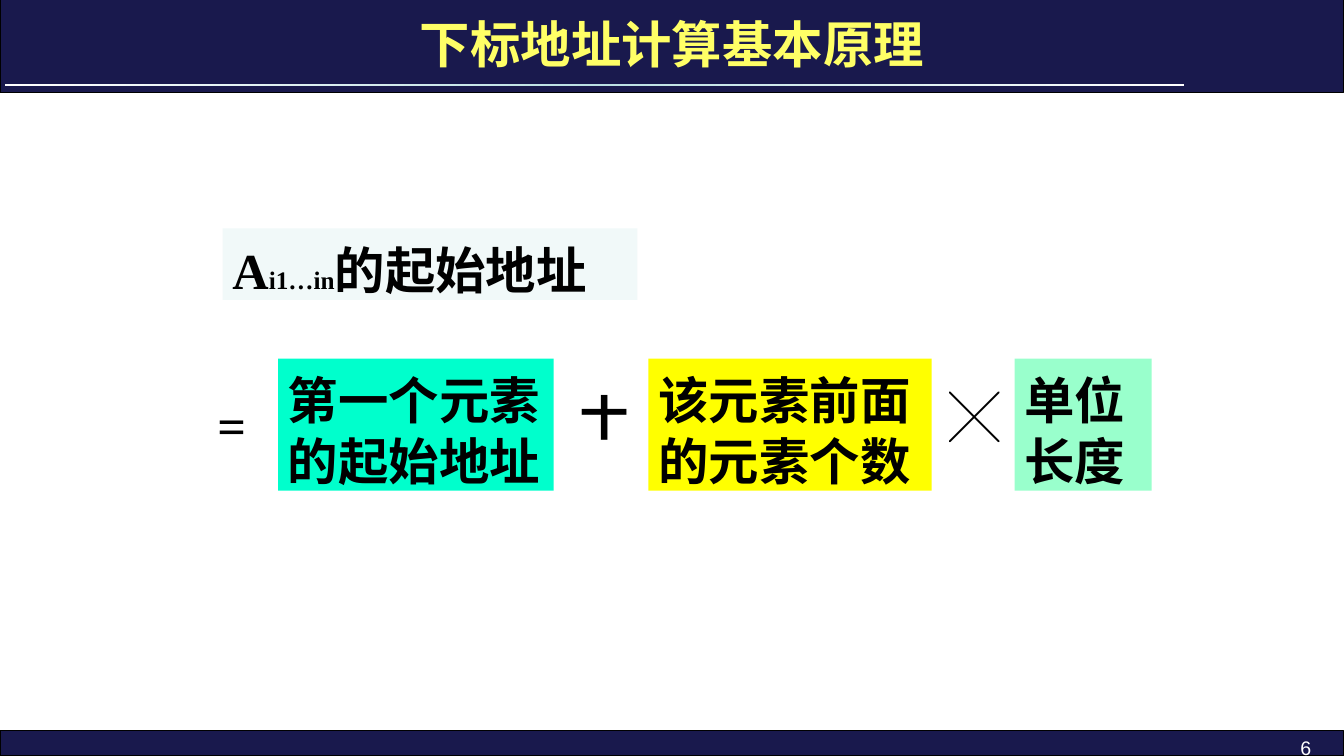
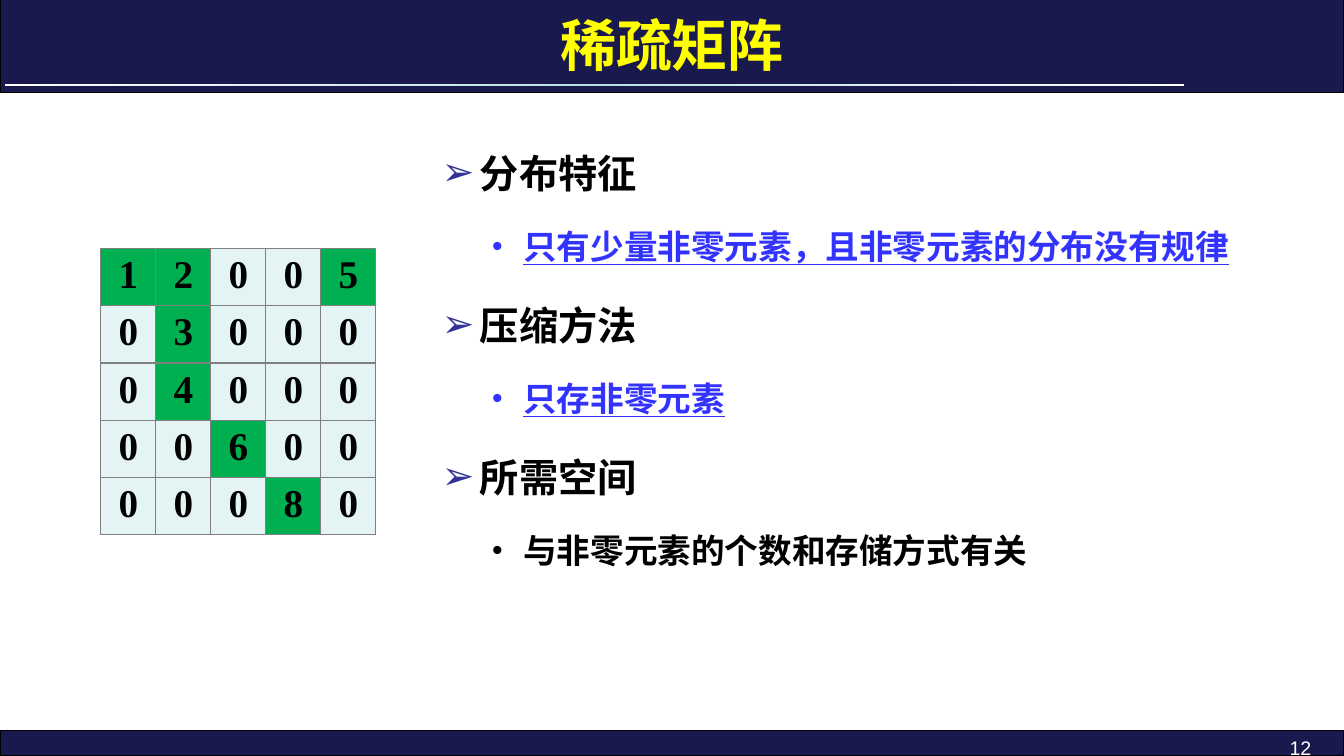
from typing import NamedTuple

from lxml import etree
from pptx import Presentation, util as u
from pptx.dml.color import RGBColor
from pptx.enum import shapes, text
from pptx.oxml import parse_xml
from pptx.oxml.ns import nsdecls, qn

# The slide is a grid of 160 columns by 90 rows.
COLS, ROWS = 160, 90
UNIT = u.Inches(7.5) / ROWS

COLORS = {
    "band": "19194D", "black": "000000", "white": "FFFFFF", "rule": "BBE0E3",
    "title": "FFFF66", "title_strong": "FFFF00", "result": "F1F9F9",
    "base": "00FFCC", "count": "FFFF00", "size": "99FFCC",
    "zero": "E4F3F4", "nonzero": "00B050", "border": "808080",
    "bullet": "333399", "accent": "3333FF",
}
SERIF, SANS, CJK = "Times New Roman", "Arial", "Noto Sans CJK SC"


class Box(NamedTuple):
    """Left, top, width and height in grid units."""
    x: float
    y: float
    w: float
    h: float


class Term(NamedTuple):
    words: str
    box: Box
    fill: str


class Operator(NamedTuple):
    sign: str
    box: Box
    font: str


class Item(NamedTuple):
    words: str
    level: int
    color: str = "black"
    underline: bool = False


class Level(NamedTuple):
    size: float
    line: float
    before: float
    margin: float
    hang: float
    bullet: str


TERMS = [
    Term("第一个元素的起始地址", Box(33.1, 42.7, 32.8, 15.7), "base"),
    Term("该元素前面的元素个数", Box(77.2, 42.7, 33.7, 15.7), "count"),
    Term("单位长度", Box(120.8, 42.7, 16.3, 15.7), "size"),
]
OPERATORS = [
    Operator("=", Box(24.7, 46.3, 6.5, 8.5), SERIF),
    Operator("〸", Box(67.8, 45.4, 8.5, 8.5), CJK),
    Operator("╳", Box(111.8, 45.4, 8.5, 8.5), CJK),
]
LEVELS = [
    Level(28, 50, 8.4, 0.38, 0.38,
          '<a:buClr {ns}><a:srgbClr val="%s"/></a:buClr>|'
          '<a:buFont {ns} typeface="Arial"/>|<a:buChar {ns} char="➢"/>' % COLORS["bullet"]),
    Level(24, 43, 7.2, 0.81, 0.31,
          '<a:buSzPct {ns} val="90000"/>|'
          '<a:buFont {ns} typeface="Arial"/>|<a:buChar {ns} char="•"/>'),
]
ITEMS = [
    Item("分布特征", 0),
    Item("只有少量非零元素，且非零元素的分布没有规律", 1, "accent", True),
    Item("压缩方法", 0),
    Item("只存非零元素", 1, "accent", True),
    Item("所需空间", 0),
    Item("与非零元素的个数和存储方式有关", 1),
]
MATRIX = ["12005", "03000", "04000", "00600", "00080"]


def rgb(name: str) -> RGBColor:
    return RGBColor.from_string(COLORS[name])


def place(box: Box) -> list[int]:
    return [u.Emu(round(v * UNIT)) for v in box]


def add_run(p, words: str, *, size: float, font: str = SERIF, color: str = "black",
            bold: bool = True, underline: bool = False) -> None:
    r = p.add_run()
    r.text = words
    f = r.font
    f.size, f.bold, f.name = u.Pt(size), bold, font
    f.color.rgb = rgb(color)
    if underline:
        f.underline = True
    etree.SubElement(r.font._element, qn("a:ea"), typeface=CJK)


def add_rect(slide, box: Box, fill: str, line: str | None = None):
    sp = slide.shapes.add_shape(shapes.MSO_SHAPE.RECTANGLE, *place(box))
    sp.shadow.inherit = False
    sp.fill.solid()
    sp.fill.fore_color.rgb = rgb(fill)
    if line:
        sp.line.color.rgb = rgb(line)
        sp.line.width = u.Pt(0.75)
    else:
        sp.line.fill.background()
    return sp


def add_panel(slide, box: Box, fill: str):
    """Draw a filled box and return its first, left-aligned paragraph."""
    tf = add_rect(slide, box, fill).text_frame
    tf.word_wrap = True
    tf.vertical_anchor = text.MSO_ANCHOR.TOP
    tf.margin_top = u.Inches(0.11)
    p = tf.paragraphs[0]
    p.alignment = text.PP_ALIGN.LEFT
    p.line_spacing = u.Pt(43)
    return p


def add_text_frame(slide, box: Box, wrap: bool = True):
    tf = slide.shapes.add_textbox(*place(box)).text_frame
    tf.word_wrap = wrap
    return tf


def build_layout(prs, slide):
    """Draw the bands and the rule once and move them into the shared layout."""
    layout = slide.slide_layout
    for ph in list(layout.placeholders):
        if ph.placeholder_format.type != shapes.PP_PLACEHOLDER.TITLE:
            layout.shapes.element.remove(ph.element)
    bands = [add_rect(slide, box, "band", "black")
             for box in (Box(0, 87, COLS, 3), Box(0, 0, COLS, 11))]
    rule = add_rect(slide, Box(0.6, 10, 140.4, 0.24), "white")
    rule.fill.gradient()
    rule.fill.gradient_angle = 0
    stops = rule.element.spPr.find(".//" + qn("a:gsLst"))
    for stop in list(stops):
        stops.remove(stop)
    for pos, name in ((0, "white"), (50, "rule"), (100, "white")):
        stops.append(parse_xml(f'<a:gs {nsdecls("a")} pos="{pos * 1000}">'
                               f'<a:srgbClr val="{COLORS[name]}"/></a:gs>'))
    for sp in (*bands, rule):
        layout.shapes.element.append(sp.element)


def set_title(slide, words: str, box: Box, **fmt) -> None:
    sp = slide.shapes.title
    sp.left, sp.top, sp.width, sp.height = place(box)
    tf = sp.text_frame
    tf.auto_size = text.MSO_AUTO_SIZE.NONE
    tf.vertical_anchor = text.MSO_ANCHOR.MIDDLE
    p = tf.paragraphs[0]
    p.alignment = text.PP_ALIGN.CENTER
    add_run(p, words, **fmt)


def add_page_number(slide, number: int) -> None:
    p = add_text_frame(slide, Box(133.3, 87, 24, 3)).paragraphs[0]
    p.alignment = text.PP_ALIGN.RIGHT
    add_run(p, str(number), size=14, font=SANS, color="white", bold=False)


def add_outline(slide, box: Box) -> None:
    tf = add_text_frame(slide, box)
    for i, item in enumerate(ITEMS):
        level = LEVELS[item.level]
        p = tf.add_paragraph() if i else tf.paragraphs[0]
        p.level = item.level
        pPr = p._p.get_or_add_pPr()
        pPr.set("marL", str(u.Inches(level.margin)))
        pPr.set("indent", str(-u.Inches(level.hang)))
        for tag in level.bullet.split("|"):
            pPr.append(parse_xml(tag.format(ns=nsdecls("a"))))
        p.line_spacing = u.Pt(level.line)
        if i:
            p.space_before = u.Pt(level.before)
        add_run(p, item.words, size=level.size, font=CJK, color=item.color,
                underline=item.underline)


def set_borders(cell) -> None:
    tcPr = cell._tc.get_or_add_tcPr()
    for i, side in enumerate(("lnL", "lnR", "lnT", "lnB")):
        tcPr.insert(i, parse_xml(
            f'<a:{side} {nsdecls("a")} w="{u.Pt(1)}"><a:solidFill>'
            f'<a:srgbClr val="{COLORS["border"]}"/></a:solidFill></a:{side}>'))


def add_matrix(slide, x: float, y: float, col: float, row: float) -> None:
    n = len(MATRIX)
    table = slide.shapes.add_table(n, n, *place(Box(x, y, n * col, n * row))).table
    table.first_row = table.horz_banding = False
    for i, values in enumerate(MATRIX):
        for j, value in enumerate(values):
            cell = table.cell(i, j)
            cell.fill.solid()
            cell.fill.fore_color.rgb = rgb("zero" if value == "0" else "nonzero")
            set_borders(cell)
            p = cell.text_frame.paragraphs[0]
            p.alignment = text.PP_ALIGN.CENTER
            add_run(p, value, size=28)


def build_address_slide(slide) -> None:
    set_title(slide, "下标地址计算基本原理", Box(0, 1, COLS, 8.4),
              size=36, font="Cambria", color="title")
    p = add_panel(slide, Box(26.5, 27.2, 49.4, 8.5), "result")
    for words, size in (("A", 36), ("i1…in", 18), ("的起始地址", 36)):
        add_run(p, words, size=size)
    for term in TERMS:
        add_run(add_panel(slide, term.box, term.fill), term.words, size=36)
    for op in OPERATORS:
        tf = add_text_frame(slide, op.box, wrap=False)
        add_run(tf.paragraphs[0], op.sign, size=36, font=op.font)
    add_page_number(slide, 6)


def build_sparse_slide(slide) -> None:
    set_title(slide, "稀疏矩阵", Box(0, 0.6, COLS, 9.2), size=40, color="title_strong")
    add_outline(slide, Box(51.4, 14.4, 99, 60))
    add_matrix(slide, 12, 29.6, 6.55, 6.8)
    add_page_number(slide, 12)


def main() -> None:
    prs = Presentation()
    prs.slide_width, prs.slide_height = round(COLS * UNIT), round(ROWS * UNIT)
    title_only = prs.slide_layouts[5]
    address, sparse = (prs.slides.add_slide(title_only) for _ in range(2))
    build_layout(prs, address)
    build_address_slide(address)
    build_sparse_slide(sparse)
    prs.save("out.pptx")


if __name__ == "__main__":
    main()
